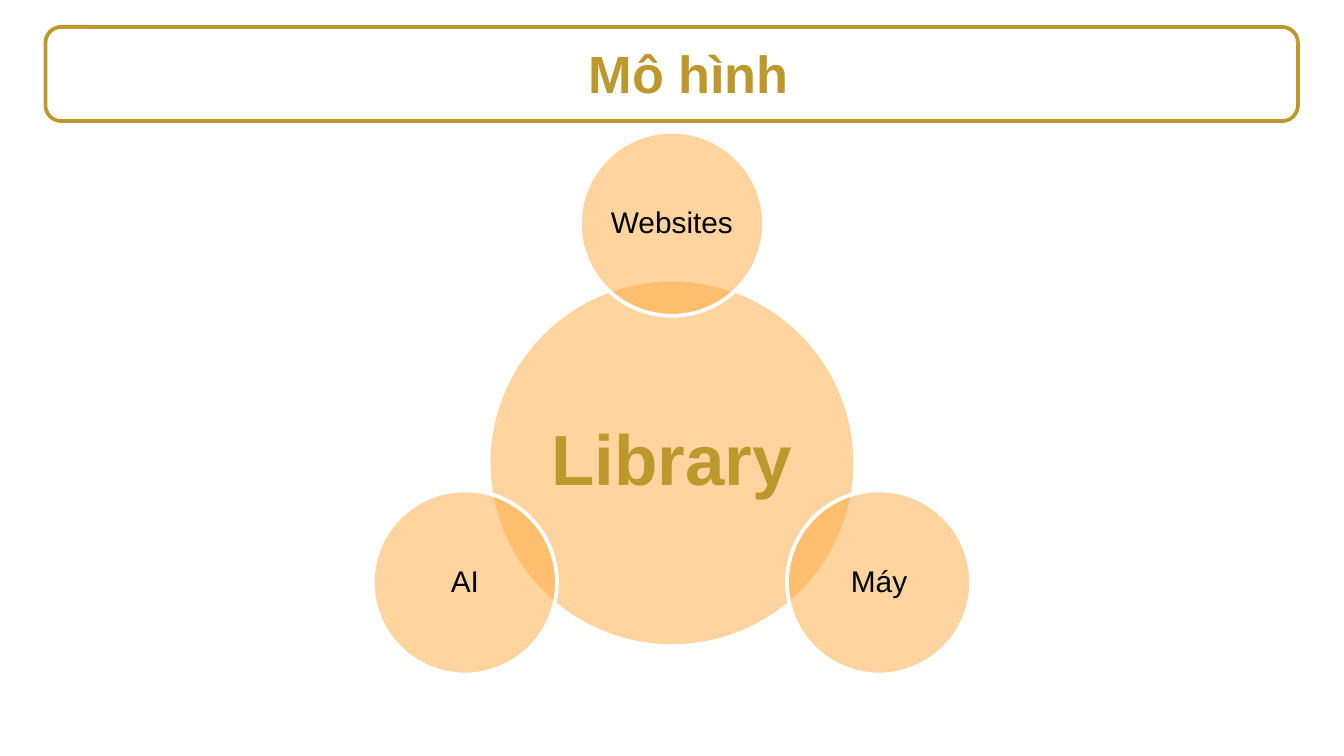
import math
from dataclasses import dataclass

import pptx
import pptx.dml.color
import pptx.enum.shapes
import pptx.enum.text
import pptx.oxml
import pptx.oxml.ns
import pptx.shapes.autoshape
import pptx.slide
import pptx.text.text
import pptx.util
from pptx.util import Cm

RGBColor = pptx.dml.color.RGBColor


@dataclass(frozen=True)
class Theme:
    font: str = "Arial"
    gold: RGBColor = RGBColor(0xBE, 0x98, 0x2C)
    orange: RGBColor = RGBColor(0xFF, 0xAB, 0x40)
    white: RGBColor = RGBColor(0xFF, 0xFF, 0xFF)
    black: RGBColor = RGBColor(0x00, 0x00, 0x00)
    circle_opacity: int = 50
    line_width: float = 2
    title_size: float = 28
    hub_size: float = 38
    satellite_size: float = 16


@dataclass(frozen=True)
class Circle:
    """A labelled circle; lengths are in centimetres."""
    label: str
    center_x: float
    center_y: float
    diameter: float
    inset: float
    font_size: float
    color: RGBColor
    bold: bool = False


THEME = Theme()
HUB = Circle("Library", 12.7, 8.75, 6.93, 0.13, THEME.hub_size, THEME.gold, True)
ORBIT_RADIUS = 4.52
SATELLITE_DIAMETER = 3.48
SATELLITE_LABELS = ("Websites", "Máy", "AI")


def format_text(paragraph: pptx.text.text._Paragraph, size: float,
                color: RGBColor, bold: bool) -> None:
    for run in paragraph.runs:
        run.font.name = THEME.font
        run.font.size = pptx.util.Pt(size)
        run.font.bold = bold
        run.font.color.rgb = color


def set_opacity(shape: pptx.shapes.autoshape.Shape, percent: int) -> None:
    color = shape.fill._xPr.find(".//" + pptx.oxml.ns.qn("a:srgbClr"))
    alpha = pptx.oxml.parse_xml(f'<a:alpha {pptx.oxml.ns.nsdecls("a")} val="{percent * 1000}"/>')
    color.append(alpha)


def draw_circle(slide: pptx.slide.Slide, circle: Circle) -> None:
    radius = circle.diameter / 2
    shape = slide.shapes.add_shape(
        pptx.enum.shapes.MSO_SHAPE.OVAL,
        Cm(circle.center_x - radius), Cm(circle.center_y - radius),
        Cm(circle.diameter), Cm(circle.diameter))
    shape.shadow.inherit = False
    shape.fill.solid()
    shape.fill.fore_color.rgb = THEME.orange
    set_opacity(shape, THEME.circle_opacity)
    shape.line.color.rgb = THEME.white
    shape.line.width = pptx.util.Pt(THEME.line_width)

    frame = shape.text_frame
    frame.text = circle.label
    frame.word_wrap = True
    frame.vertical_anchor = pptx.enum.text.MSO_ANCHOR.MIDDLE
    frame.margin_left = frame.margin_right = Cm(circle.inset)
    frame.margin_top = frame.margin_bottom = Cm(circle.inset)
    paragraph = frame.paragraphs[0]
    paragraph.alignment = pptx.enum.text.PP_ALIGN.CENTER
    paragraph.line_spacing = 0.9
    format_text(paragraph, circle.font_size, circle.color, circle.bold)


def draw_satellites(slide: pptx.slide.Slide) -> None:
    """Space the satellites evenly around the hub, clockwise from the top."""
    for index, label in enumerate(SATELLITE_LABELS):
        angle = 2 * math.pi * index / len(SATELLITE_LABELS)
        draw_circle(slide, Circle(
            label,
            HUB.center_x + ORBIT_RADIUS * math.sin(angle),
            HUB.center_y - ORBIT_RADIUS * math.cos(angle),
            SATELLITE_DIAMETER, 0.05, THEME.satellite_size, THEME.black))


def draw_title(slide: pptx.slide.Slide, text: str) -> None:
    border = slide.shapes.add_shape(
        pptx.enum.shapes.MSO_SHAPE.ROUNDED_RECTANGLE,
        Cm(0.86), Cm(0.51), Cm(23.67), Cm(1.78))
    border.shadow.inherit = False
    border.fill.background()
    border.line.color.rgb = THEME.gold
    border.line.width = pptx.util.Pt(THEME.line_width)

    title = slide.shapes.title
    title.left, title.top = Cm(10.87), Cm(0.66)
    title.width, title.height = Cm(5.69), Cm(1.45)
    frame = title.text_frame
    frame.text = text
    frame.auto_size = pptx.enum.text.MSO_AUTO_SIZE.NONE
    frame.vertical_anchor = pptx.enum.text.MSO_ANCHOR.TOP
    paragraph = frame.paragraphs[0]
    paragraph.alignment = pptx.enum.text.PP_ALIGN.LEFT
    format_text(paragraph, THEME.title_size, THEME.gold, True)


def main() -> None:
    presentation = pptx.Presentation()
    presentation.slide_width = Cm(25.4)
    presentation.slide_height = Cm(14.29)
    slide = presentation.slides.add_slide(presentation.slide_layouts.get_by_name("Title Only"))
    draw_circle(slide, HUB)
    draw_satellites(slide)
    draw_title(slide, "Mô hình")
    presentation.save("out.pptx")


if __name__ == "__main__":
    main()
